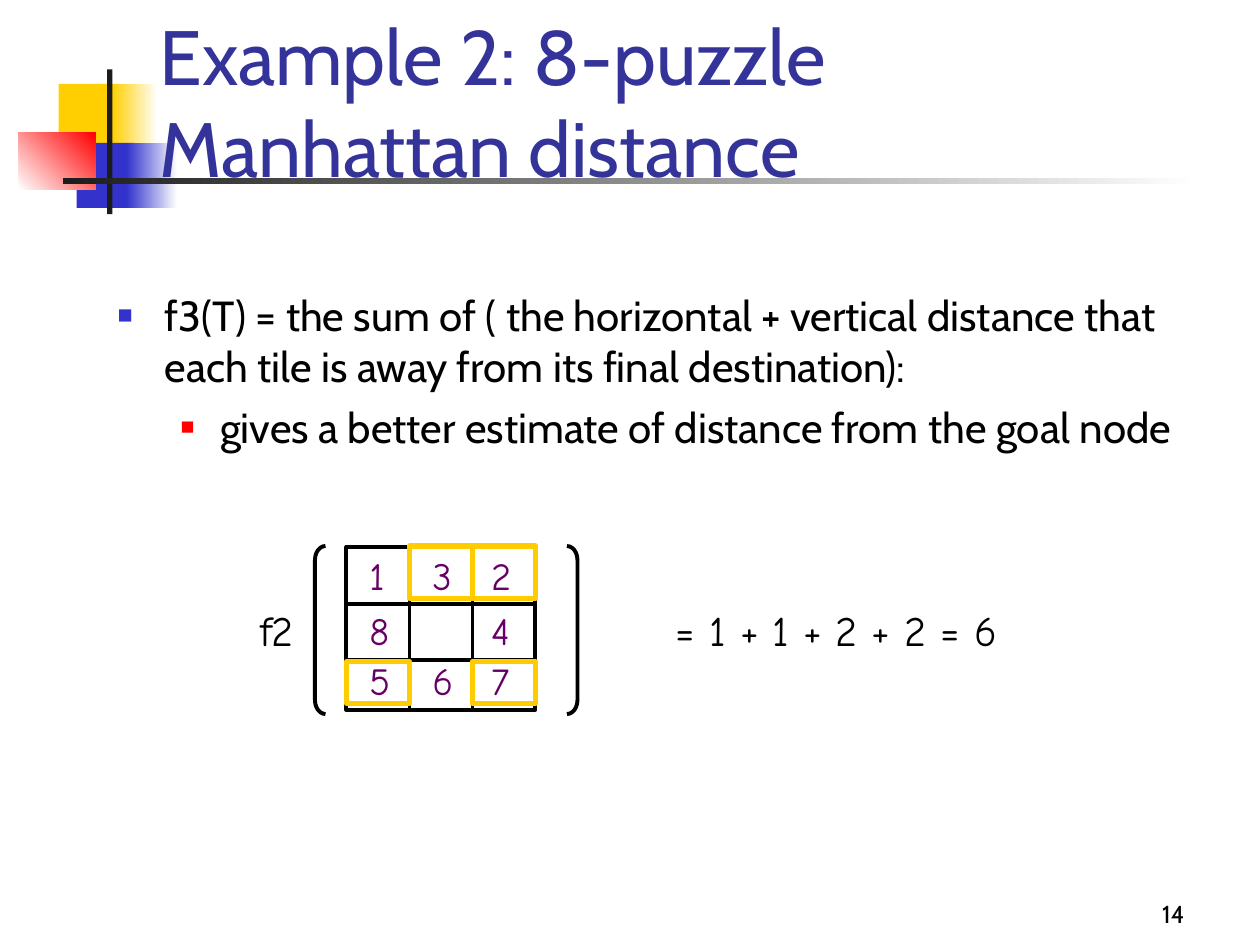
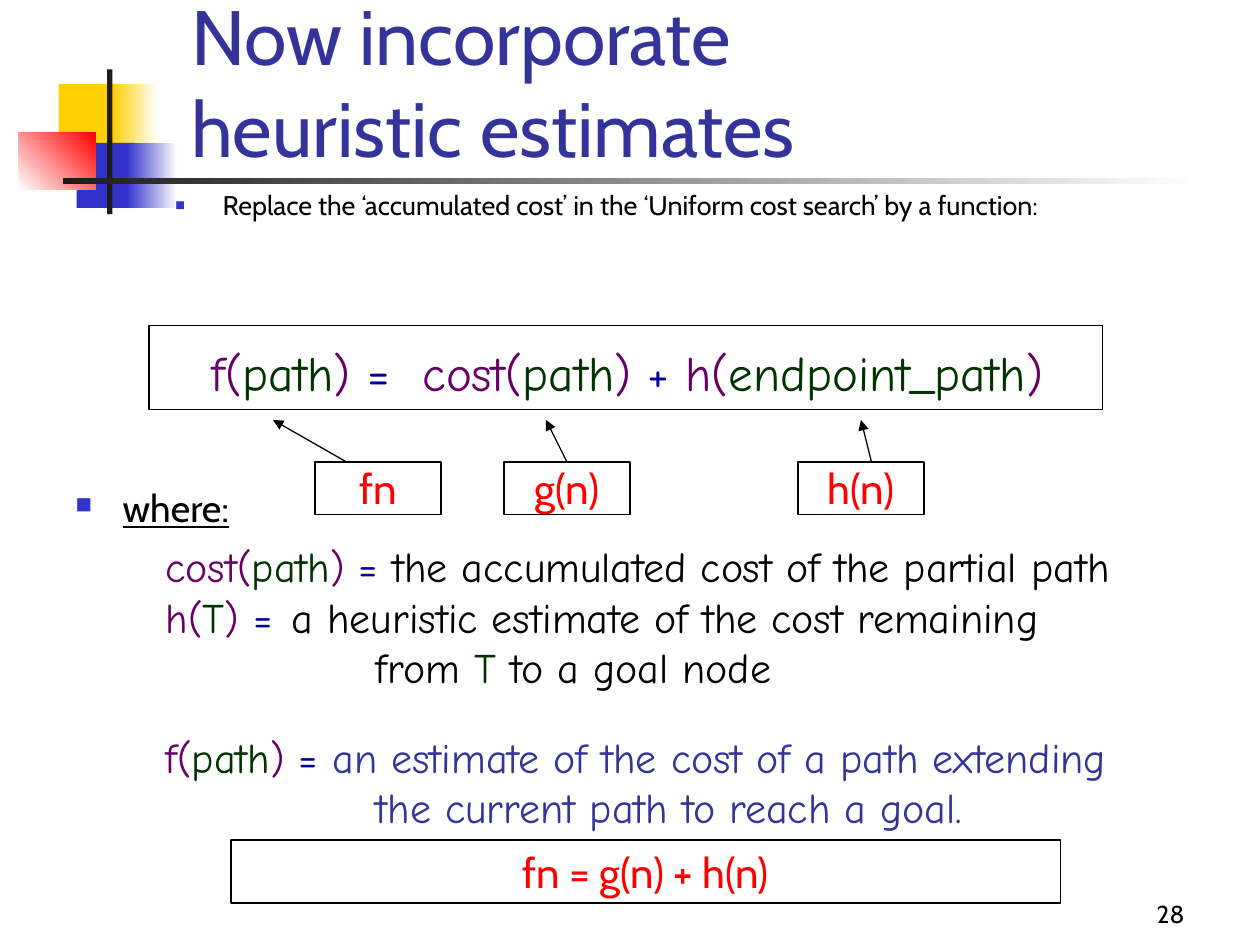
from dataclasses import dataclass
from lxml import etree
from pptx import Presentation
from pptx.dml.color import RGBColor
from pptx.enum.shapes import MSO_CONNECTOR, MSO_SHAPE
from pptx.enum.text import MSO_ANCHOR, MSO_AUTO_SIZE, PP_ALIGN
from pptx.oxml.ns import qn
from pptx.util import Emu, Inches, Pt

RECT = MSO_SHAPE.RECTANGLE
LEFT_MARK, RIGHT_MARK = MSO_SHAPE.LEFT_BRACKET, MSO_SHAPE.RIGHT_BRACKET
STRAIGHT = MSO_CONNECTOR.STRAIGHT
TOP, MIDDLE, BOTTOM = MSO_ANCHOR.TOP, MSO_ANCHOR.MIDDLE, MSO_ANCHOR.BOTTOM
LEFT, CENTER, RIGHT = PP_ALIGN.LEFT, PP_ALIGN.CENTER, PP_ALIGN.RIGHT
FIXED = MSO_AUTO_SIZE.NONE

# The grid: 120 columns by 90 rows, all cells square
WIDE, HIGH = 120, 90
UNIT = Inches(10) / WIDE

SANS, HAND = "Cabin", "Comic Neue"
BLACK, WHITE, INK = "000000", "FFFFFF", "1C1C1C"
YELLOW, BLUE, RED, GOLD = "FFCF01", "3333CC", "FF0000", "FFCC00"
INDIGO, PLUM, GREEN, NAVY = "333399", "660066", "003300", "000099"


@dataclass(frozen=True)
class Area:
    x: float
    y: float
    w: float
    h: float

    def lengths(self) -> list[Emu]:
        return [grid(v) for v in (self.x, self.y, self.w, self.h)]


@dataclass(frozen=True)
class Band:
    area: Area
    start: str
    end: str = ""
    angle: int = 0


@dataclass(frozen=True)
class Label:
    text: str
    x: float
    foot: float
    tip: float


BANDS = [
    Band(Area(5.6, 8, 5.8, 6.2), YELLOW),
    Band(Area(10.7, 8, 4.3, 6.2), YELLOW, WHITE),
    Band(Area(7.3, 13.6, 5.5, 6.2), BLUE),
    Band(Area(12.1, 13.6, 4.8, 6.2), BLUE, WHITE),
    Band(Area(1.8, 12.6, 7.3, 5.5), WHITE, RED, 45),
    Band(Area(10.2, 6.6, 0.5, 13.8), INK),
    Band(Area(6, 17, 108, 0.5), INK, WHITE),
]
LABELS = [
    Label("fn", 30, 33, 26),
    Label("g(n)", 48, 54, 52),
    Label("h(n)", 76, 83, 82),
]


def grid(cells: float) -> Emu:
    return Emu(round(cells * UNIT))


def tint(code: str) -> RGBColor:
    return RGBColor.from_string(code)


# Drawing tools
def shape(slide, area: Area, *, kind=RECT, fill="", line="", width=0.75):
    item = slide.shapes.add_shape(kind, *area.lengths())
    item.shadow.inherit = False
    if fill:
        item.fill.solid()
        item.fill.fore_color.rgb = tint(fill)
    else:
        item.fill.background()
    if line:
        item.line.color.rgb = tint(line)
        item.line.width = Pt(width)
    else:
        item.line.fill.background()
    return item


def line(slide, start: tuple, end: tuple, *, width=0.75, arrow=False) -> None:
    ends = [grid(v) for v in (*start, *end)]
    item = slide.shapes.add_connector(STRAIGHT, *ends)
    item.line.color.rgb = tint(BLACK)
    item.line.width = Pt(width)
    if arrow:
        stroke = item.line._get_or_add_ln()
        etree.SubElement(stroke, qn("a:tailEnd"), type="triangle")
    etree.SubElement(item.element.spPr, qn("a:effectLst"))


def setup(item, *, wrap=True, anchor=TOP):
    frame = item.text_frame
    frame.auto_size = FIXED
    frame.word_wrap = wrap
    frame.vertical_anchor = anchor
    return item


def box(slide, area: Area, *, wrap=False, anchor=TOP):
    return setup(slide.shapes.add_textbox(*area.lengths()),
                 wrap=wrap, anchor=anchor)


def write(item, text, *, size=24, font=SANS, color=BLACK, align=LEFT, level=0,
          left=0, hang=0, before=0, bullet="", share=60, tab=0, under=False):
    """Add a paragraph; text is a string or a list of (words, colour)."""
    frame = item.text_frame
    para = frame.add_paragraph() if frame.text else frame.paragraphs[0]
    para.alignment, para.level = align, level
    para.space_before = Pt(before)
    props = para._p.get_or_add_pPr()
    props.set("marL", str(grid(left)))
    props.set("indent", str(grid(-hang)))
    if bullet:
        shade = etree.SubElement(props, qn("a:buClr"))
        etree.SubElement(shade, qn("a:srgbClr"), val=bullet)
        etree.SubElement(props, qn("a:buSzPct"), val=str(share * 1000))
        etree.SubElement(props, qn("a:buChar"), char="■")
    else:
        etree.SubElement(props, qn("a:buNone"))
    if tab:
        stops = etree.SubElement(props, qn("a:tabLst"))
        etree.SubElement(stops, qn("a:tab"), pos=str(grid(tab)), algn="l")
    for words, shade in [(text, color)] if isinstance(text, str) else text:
        for place, part in enumerate(words.split("\n")):
            if place:
                para.add_line_break()
            run = para.add_run()
            run.text = part
            run.font.size, run.font.name = Pt(size), font
            run.font.color.rgb = tint(shade)
            if under:
                run.font.underline = True


def item(holder, text: str, size: float, before: float) -> None:
    write(holder, text, size=size, before=before, left=4.5, hang=4.5,
          bullet=BLUE, under=text == "where:")


def call(name: str, arg: str, end: str = ") ") -> list[tuple[str, str]]:
    return [(name + "(", PLUM), (arg, GREEN), (end, PLUM)]


# Parts that both slides share
def start(deck, title: str, head: Area, body: Area, number: int):
    slide = deck.slides.add_slide(deck.slide_layouts[1])
    for band in BANDS:
        piece = shape(slide, band.area, fill=band.start)
        if band.end:
            piece.fill.gradient()
            piece.fill.gradient_angle = band.angle
            for stop, code in zip(piece.fill.gradient_stops,
                                  (band.start, band.end)):
                stop.color.rgb = tint(code)
    page = box(slide, Area(89, 83, 25, 6), wrap=True, anchor=BOTTOM)
    write(page, str(number), size=14, align=RIGHT)
    main = slide.placeholders[1]
    for holder, area in ((slide.shapes.title, head), (main, body)):
        holder.left, holder.top, holder.width, holder.height = area.lengths()
        slide.shapes.element.append(holder.element)
    setup(slide.shapes.title, anchor=BOTTOM)
    write(slide.shapes.title, title, size=44, color=INDIGO)
    return slide, setup(main)


def puzzle(deck) -> None:
    slide, body = start(deck, "Example 2: 8-puzzle Manhattan distance",
                        Area(14, 2, 98, 17), Area(10, 27, 103, 54), 14)
    item(body, "f3(T) = the sum of ( the horizontal + vertical distance that "
         "each tile is away from its final destination):", 24, 6)
    write(body, "gives a better estimate of distance from the goal node",
          level=1, left=9.75, hang=3.75, before=6, bullet=RED, share=55)

    # Function name, brackets and sum
    for area, text in ((Area(23.6, 57, 5.5, 6), "f2"),
                       (Area(63.2, 57, 32.9, 6), "= 1 + 1 + 2 + 2 = 6")):
        write(box(slide, area), text, font=HAND)
    for x, kind in ((30, LEFT_MARK), (54, RIGHT_MARK)):
        mark = shape(slide, Area(x, 52, 1, 16), kind=kind,
                     line=BLACK, width=2.25)
        mark.adjustments[0] = 1.33

    # Board and tiles
    x, y, wide, high, col, row = 33, 52.1, 18, 15.5, 6, 5.4
    shape(slide, Area(x, y, wide, high), fill=WHITE, line=BLACK, width=2.25)
    for n in (1, 2):
        line(slide, (x + n * col, y), (x + n * col, y + high), width=2.25)
        line(slide, (x, y + n * row), (x + wide, y + n * row), width=2.25)
    for top, tiles in zip((52, 57.2, 62), ("132", "8 4", "567")):
        for side, tile in zip((34, 40, 45.6), tiles):
            if tile != " ":
                write(box(slide, Area(side, top, 4.2, 5.6)), tile,
                      size=22, font=HAND, color=PLUM)

    # Tiles out of place
    for n, top, tall in ((1, 52, 5), (2, 52, 5), (2, 63, 4), (0, 63, 4)):
        shape(slide, Area(x + n * col, top, col, tall), line=GOLD, width=3)


def framed(slide, area: Area, text: str) -> None:
    frame = setup(shape(slide, area, line=BLACK), wrap=False, anchor=MIDDLE)
    write(frame, text, color=RED, align=CENTER)


def costs(deck) -> None:
    slide, body = start(deck, "Now incorporate \nheuristic estimates",
                        Area(17, 3.1, 92, 14), Area(15.5, 17.4, 102, 6.8), 28)
    item(body, "Replace the ‘accumulated cost’ in the ‘Uniform cost search’ "
         "by a function:", 15.4, 7)

    # Main formula
    shape(slide, Area(14.2, 31, 90.8, 8), fill=WHITE, line=BLACK)
    write(box(slide, Area(19, 32, 81.6, 6.8)),
          [*call("f", "path"), ("=", NAVY), *call("  cost", "path"),
           ("+", NAVY), *call(" h", "endpoint_path", ")")],
          size=28, font=HAND)

    # Meaning of each term
    terms = box(slide, Area(14.6, 50.9, 100, 29), wrap=True)
    rows = [
        ([*call("cost", "path"), ("= ", NAVY),
          ("the accumulated cost of the partial path", BLACK)], {}),
        ([*call("h", "T"), ("=\t", NAVY),
          ("a heuristic estimate of the cost remaining", BLACK)],
         {"tab": 14.3}),
        ([("from ", BLACK), ("T", GREEN), (" to a goal node", BLACK)],
         {"left": 20}),
        ([*call("f", "path"), ("= ", NAVY),
          ("an estimate of the cost of a path extending", INDIGO)],
         {"before": 22.5}),
        ([("the current path to reach a goal.", INDIGO)], {"left": 20}),
    ]
    for text, form in rows:
        write(terms, text, font=HAND, **form)
    item(box(slide, Area(6, 45.6, 104, 6), wrap=True), "where:", 21.7, 7)

    # Short names with arrows, and the result
    for label in LABELS:
        framed(slide, Area(label.x, 44, 12, 5), label.text)
        line(slide, (label.foot, 44), (label.tip, 40), arrow=True)
    framed(slide, Area(22, 80, 79, 6), "fn = g(n) + h(n)")


def main() -> None:
    deck = Presentation()
    deck.slide_width, deck.slide_height = grid(WIDE), grid(HIGH)
    puzzle(deck)
    costs(deck)
    deck.save("out.pptx")


if __name__ == "__main__":
    main()
